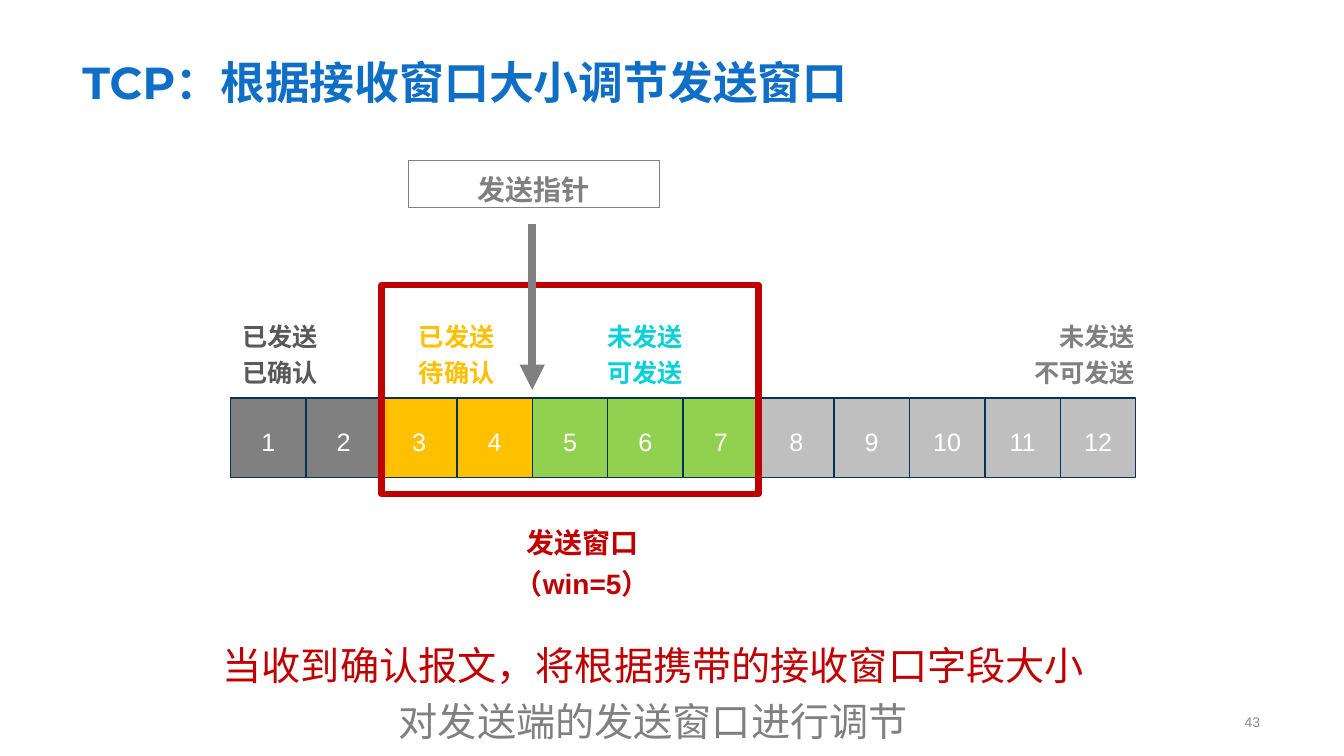
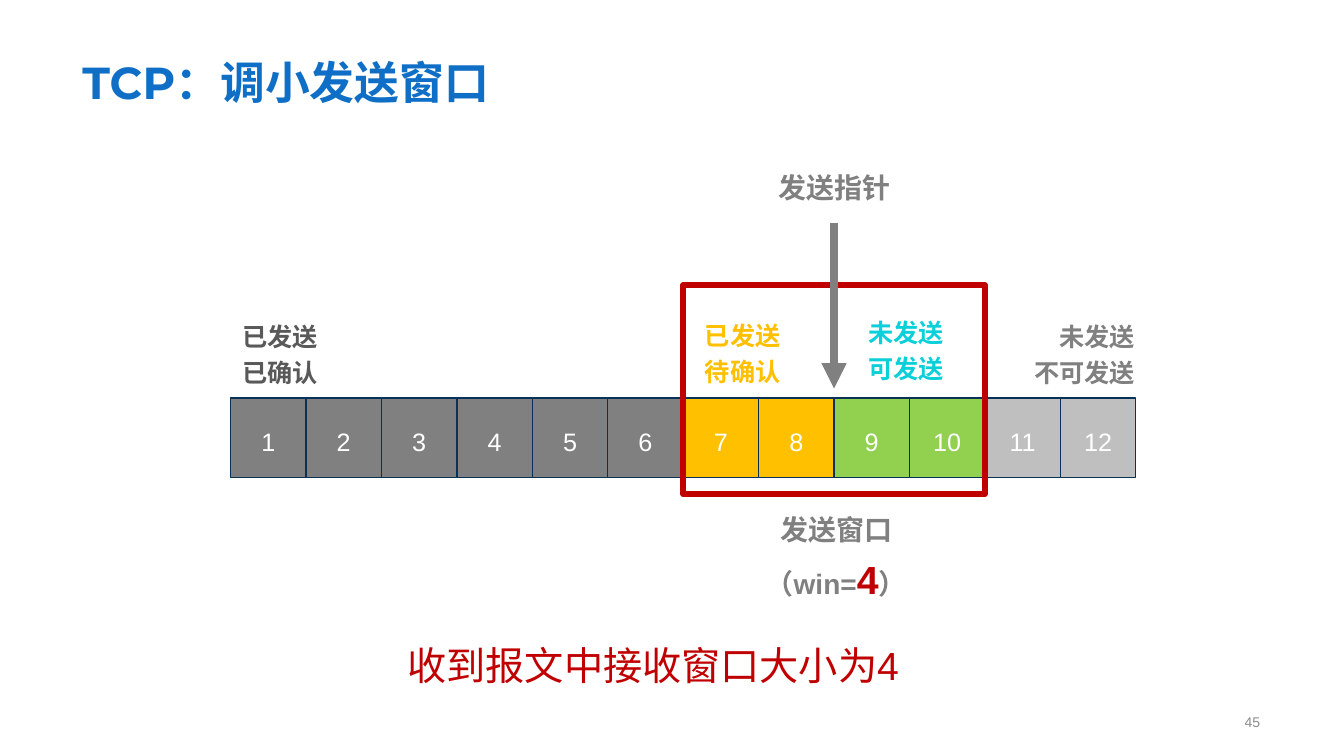
from dataclasses import dataclass

from lxml.etree import SubElement
from pptx import Presentation
from pptx.dml.color import RGBColor
from pptx.enum.shapes import MSO_CONNECTOR, MSO_SHAPE
from pptx.enum.text import MSO_ANCHOR, MSO_AUTO_SIZE, PP_ALIGN
from pptx.oxml.ns import qn
from pptx.shapes.autoshape import Shape
from pptx.slide import Slide
from pptx.util import Pt

COLORS = {
    "title": "0F6FC6",
    "page_number": "8C8C8C",
    "red": "C00000",
    "gray": "808080",
    "dark_gray": "595959",
    "light_gray": "BFBFBF",
    "amber": "FFC000",
    "green": "92D050",
    "cyan": "0BD0D9",
    "navy": "073157",
    "white": "FFFFFF",
}
BODY_FONT = "Arial"
TITLE_FONT = "Montserrat"
CELL_COUNT = 12
CELL_LEFT, CELL_TOP = 164.7, 284.4
CELL_WIDTH, CELL_HEIGHT = 53.88, 56.9
LABEL_TOP = 221.8
LABEL_WIDTH, LABEL_HEIGHT = 79.2, 57.6
CAPTION_WIDTH = 179.3


@dataclass(frozen=True)
class Box:
    left: float
    top: float
    width: float
    height: float


@dataclass(frozen=True)
class Span:
    text: str
    color: str
    size: float
    bold: bool = False
    font: str = BODY_FONT


@dataclass(frozen=True)
class Label:
    lines: tuple[str, str]
    color: str
    left: float
    top: float = LABEL_TOP
    width: float = LABEL_WIDTH
    align: PP_ALIGN = PP_ALIGN.CENTER


@dataclass(frozen=True)
class WindowPage:
    """A send window; the counts say how many segments are in each state."""
    title: str
    number: str
    confirmed: int
    waiting: int
    sendable: int
    labels: tuple[Label, ...]
    window_caption: tuple[Span, ...]
    caption_box: Box
    pointer_box: Box
    pointer_outlined: bool
    conclusion: tuple[Span, ...]


TITLE_BOX = Box(51.8, 10.1, 855.4, 70.6)
NUMBER_BOX = Box(612, 504.7, 295.2, 21.6)
CONFIRMED_LABEL = Label(("已发送", "已确认"), "dark_gray", 160.6)
BLOCKED_LABEL = Label(("未发送", "不可发送"), "gray", 715.7, width=102.2, align=PP_ALIGN.RIGHT)
WAITING_LINES = ("已发送", "待确认")
SENDABLE_LINES = ("未发送", "可发送")

PAGES = (
    WindowPage(
        "TCP：根据接收窗口大小调节发送窗口", "43", 2, 2, 3,
        (CONFIRMED_LABEL, BLOCKED_LABEL,
         Label(WAITING_LINES, "amber", 286.6),
         Label(SENDABLE_LINES, "cyan", 421.2)),
        (Span("发送窗口（win=5）", "red", 20, True),),
        Box(326.2, 367.2, CAPTION_WIDTH, 33.8),
        Box(291.6, 114.8, CAPTION_WIDTH, 33.8), True,
        (Span("当收到确认报文，将根据携带的接收窗口字段大小", "red", 28),
         Span("对发送端的发送窗口进行调节", "gray", 28)),
    ),
    WindowPage(
        "TCP：调小发送窗口", "45", 6, 2, 2,
        (CONFIRMED_LABEL, BLOCKED_LABEL,
         Label(WAITING_LINES, "amber", 491, 221),
         Label(SENDABLE_LINES, "cyan", 607.7, 218.9)),
        (Span("发送窗口（win=", "gray", 20, True),
         Span("4", "red", 28, True),
         Span("）", "gray", 20, True)),
        Box(507.6, 357.8, CAPTION_WIDTH, 43.9),
        Box(506.2, 113.8, CAPTION_WIDTH, 33.8), False,
        (Span("收到报文中接收窗口大小为4", "red", 28),),
    ),
)


def rgb(name: str) -> RGBColor:
    return RGBColor.from_string(COLORS[name])


def cell_edge(index: int) -> float:
    return CELL_LEFT + index * CELL_WIDTH


def write(shape: Shape, lines: list[tuple[Span, ...]], align: PP_ALIGN = PP_ALIGN.CENTER,
          anchor: MSO_ANCHOR = MSO_ANCHOR.TOP, spacing: float = 1.2) -> None:
    """Fill a shape with one paragraph for each group of spans."""
    frame = shape.text_frame
    frame.word_wrap = True
    frame.vertical_anchor = anchor
    if anchor == MSO_ANCHOR.TOP:
        frame.auto_size = MSO_AUTO_SIZE.SHAPE_TO_FIT_TEXT
    for index, spans in enumerate(lines):
        para = frame.paragraphs[0] if index == 0 else frame.add_paragraph()
        para.alignment = align
        para.line_spacing = spacing
        for span in spans:
            run = para.add_run()
            run.text = span.text
            run.font.name = span.font
            run.font.size = Pt(span.size)
            run.font.bold = span.bold
            run.font.color.rgb = rgb(span.color)


def add_text(page: Slide, box: Box) -> Shape:
    return page.shapes.add_textbox(Pt(box.left), Pt(box.top), Pt(box.width), Pt(box.height))


def add_rectangle(page: Slide, box: Box, line: str, weight: float, fill: str | None = None) -> Shape:
    shape = page.shapes.add_shape(
        MSO_SHAPE.RECTANGLE, Pt(box.left), Pt(box.top), Pt(box.width), Pt(box.height))
    shape.shadow.inherit = False
    if fill:
        shape.fill.solid()
        shape.fill.fore_color.rgb = rgb(fill)
    else:
        shape.fill.background()
    shape.line.color.rgb = rgb(line)
    shape.line.width = Pt(weight)
    return shape


def add_pointer_arrow(page: Slide, center: float, top: float) -> None:
    arrow = page.shapes.add_connector(
        MSO_CONNECTOR.STRAIGHT, Pt(center), Pt(top), Pt(center), Pt(top + 118.5))
    arrow.line.color.rgb = rgb("gray")
    arrow.line.width = Pt(6)
    SubElement(arrow.line._get_or_add_ln(), qn("a:tailEnd"), type="triangle")
    SubElement(arrow._element.spPr, qn("a:effectLst"))


def add_heading(page: Slide, content: WindowPage) -> None:
    write(add_text(page, NUMBER_BOX), [(Span(content.number, "page_number", 10),)],
          PP_ALIGN.RIGHT, MSO_ANCHOR.MIDDLE, 1)
    write(add_text(page, TITLE_BOX), [(Span(content.title, "title", 32, True, TITLE_FONT),)],
          PP_ALIGN.LEFT, MSO_ANCHOR.BOTTOM, 1)


def add_segments(page: Slide, content: WindowPage) -> None:
    fills = (["gray"] * content.confirmed + ["amber"] * content.waiting
             + ["green"] * content.sendable)
    fills += ["light_gray"] * (CELL_COUNT - len(fills))
    for index, fill in enumerate(fills):
        box = Box(cell_edge(index), CELL_TOP, CELL_WIDTH, CELL_HEIGHT)
        cell = add_rectangle(page, box, "navy", 1, fill)
        write(cell, [(Span(str(index + 1), "white", 18),)], anchor=MSO_ANCHOR.MIDDLE)


def add_window(page: Slide, content: WindowPage) -> None:
    size = content.waiting + content.sendable
    add_rectangle(page, Box(cell_edge(content.confirmed), 203.8, size * CELL_WIDTH, 149),
                  "red", 4.5)
    for label in content.labels:
        box = Box(label.left, label.top, label.width, LABEL_HEIGHT)
        lines = [(Span(line, label.color, 18, True),) for line in label.lines]
        write(add_text(page, box), lines, label.align)
    write(add_text(page, content.caption_box), [content.window_caption])


def add_pointer(page: Slide, content: WindowPage) -> None:
    box = content.pointer_box
    add_pointer_arrow(page, cell_edge(content.confirmed + content.waiting), box.top + 45.2)
    shape = add_rectangle(page, box, "gray", 0.75) if content.pointer_outlined else add_text(page, box)
    write(shape, [(Span("发送指针", "gray", 20, True),)])


def add_conclusion(page: Slide, content: WindowPage) -> None:
    box = Box(143.3, 447.8, 646.6, 42.5 * len(content.conclusion))
    write(add_text(page, box), [(span,) for span in content.conclusion])


def main() -> None:
    deck = Presentation()
    deck.slide_width, deck.slide_height = Pt(960), Pt(540)
    for content in PAGES:
        page = deck.slides.add_slide(deck.slide_layouts[6])
        for add_part in (add_heading, add_conclusion, add_segments, add_window, add_pointer):
            add_part(page, content)
    deck.save("out.pptx")


if __name__ == "__main__":
    main()
